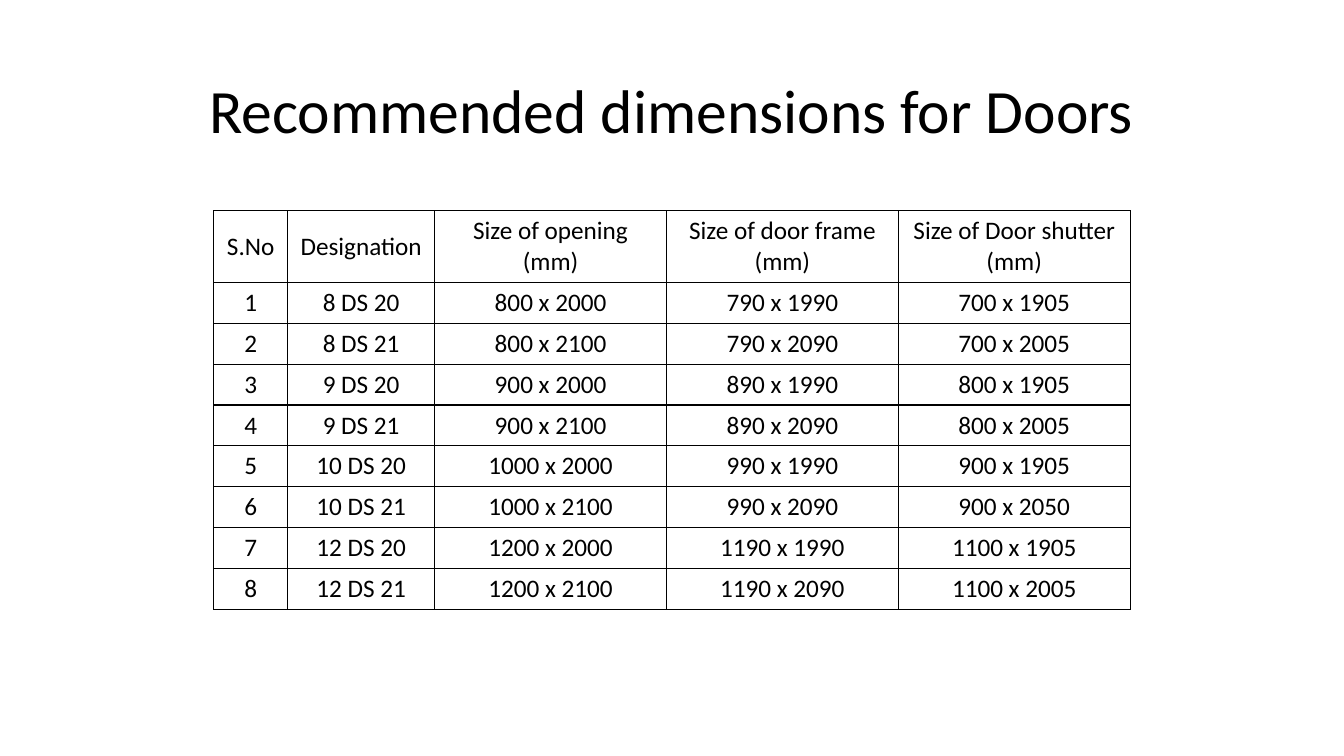
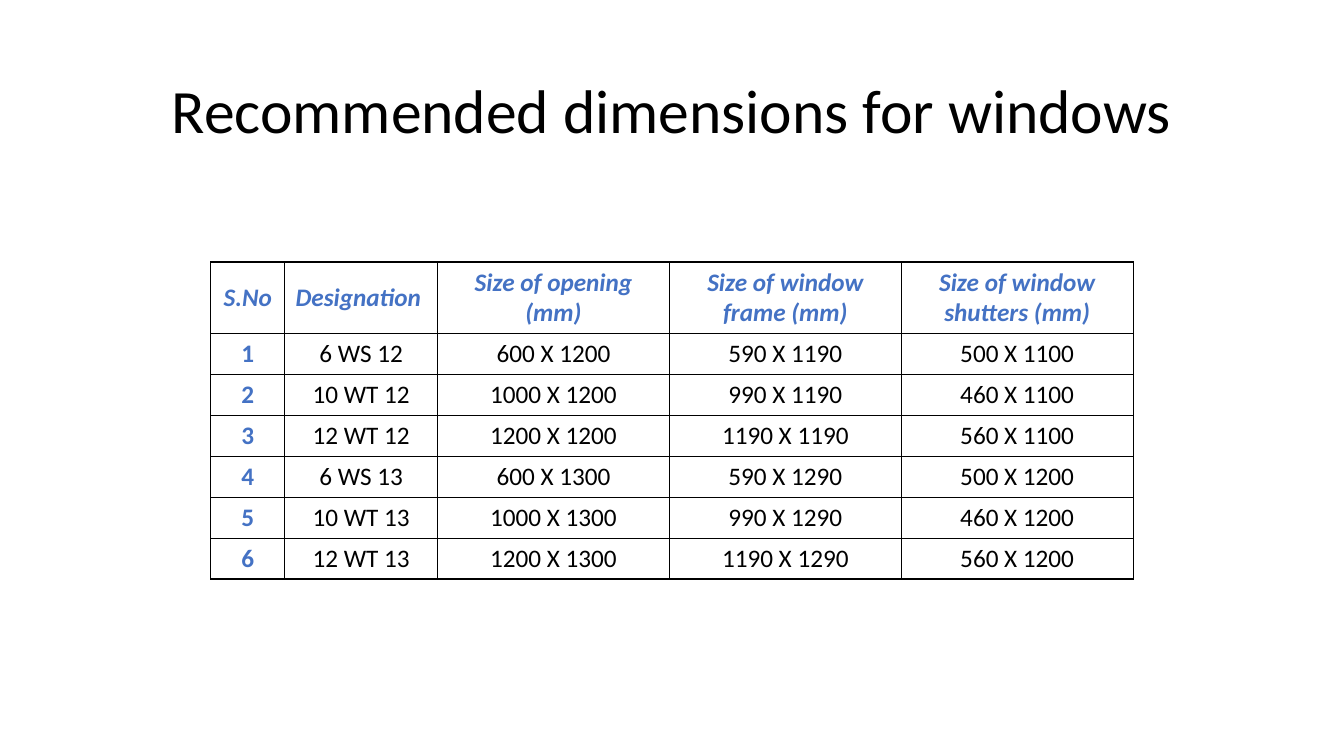
"""Build two slides of recommended door and window dimensions."""
import lxml.etree
import pptx
import pptx.dml.color
import pptx.enum.text
import pptx.oxml.ns
import pptx.util

Pt = pptx.util.Pt
WIDE, HIGH = 960, 540

DOORS = [
    ("S.No", "Designation", "Size of opening (mm)", "Size of door frame (mm)", "Size of Door shutter (mm)"),
    ("1", "8 DS 20", "800 x 2000", "790 x 1990", "700 x 1905"),
    ("2", "8 DS 21", "800 x 2100", "790 x 2090", "700 x 2005"),
    ("3", "9 DS 20", "900 x 2000", "890 x 1990", "800 x 1905"),
    ("4", "9 DS 21", "900 x 2100", "890 x 2090", "800 x 2005"),
    ("5", "10 DS 20", "1000 x 2000", "990 x 1990", "900 x 1905"),
    ("6", "10 DS 21", "1000 x 2100", "990 x 2090", "900 x 2050"),
    ("7", "12 DS 20", "1200 x 2000", "1190 x 1990", "1100 x 1905"),
    ("8", "12 DS 21", "1200 x 2100", "1190 x 2090", "1100 x 2005"),
]
WINDOWS = [
    ("S.No", "Designation ", "Size of opening (mm)", "Size of window frame (mm)", "Size of window shutters (mm)"),
    ("1", "6 WS 12", "600 X 1200", "590 X 1190", "500 X 1100"),
    ("2", "10 WT 12", "1000 X 1200", "990 X 1190", "460 X 1100"),
    ("3", "12 WT 12", "1200 X 1200", "1190 X 1190", "560 X 1100"),
    ("4", "6 WS 13", "600 X 1300", "590 X 1290", "500 X 1200"),
    ("5", "10 WT 13", "1000 X 1300", "990 X 1290", "460 X 1200"),
    ("6", "12 WT 13", "1200 X 1300", "1190 X 1290", "560 X 1200"),
]


class Deck:
    """Hold the shared style and the current slide."""

    hues = {"ink": "000000", "mark": "4472C4"}
    face = "Calibri"
    head, row = 51.2, 29.2

    def __init__(self):
        self.show = pptx.Presentation()
        self.show.slide_width, self.show.slide_height = Pt(WIDE), Pt(HIGH)
        self.slide = None

    def style(self, para, size, hue="ink", bold=False, slant=False):
        """Centre a paragraph and format its runs."""
        para.alignment = pptx.enum.text.PP_ALIGN.CENTER
        for run in para.runs:
            font = run.font
            font.name, font.size = self.face, Pt(size)
            font.bold, font.italic = bold, slant
            font.color.rgb = pptx.dml.color.RGBColor.from_string(self.hues[hue])

    def page(self, text):
        """Start a slide with its title."""
        self.slide = self.show.slides.add_slide(self.show.slide_layouts[5])
        title = self.slide.shapes.title
        title.left, title.top, title.width, title.height = Pt(66), Pt(28.75), Pt(828), Pt(104.4)
        frame = title.text_frame
        frame.text = text
        frame.vertical_anchor = pptx.enum.text.MSO_ANCHOR.MIDDLE
        frame.paragraphs[0].line_spacing = 0.9
        self.style(frame.paragraphs[0], 44)

    def border(self, cell):
        """Draw a thin line on each side of a cell."""
        name = pptx.oxml.ns.qn
        props = cell._tc.get_or_add_tcPr()
        for side in ("L", "R", "T", "B"):
            line = lxml.etree.SubElement(props, name("a:ln" + side), w=str(Pt(1)))
            fill = lxml.etree.SubElement(line, name("a:solidFill"))
            lxml.etree.SubElement(fill, name("a:srgbClr"), val=self.hues["ink"])

    def table(self, rows, top, widths, marked=False):
        """Add a centred table, with its header row and first column marked on request."""
        wide = sum(widths)
        high = self.head + self.row * (len(rows) - 1)
        grid = self.slide.shapes.add_table(
            len(rows), len(widths), Pt((WIDE - wide) / 2), Pt(top), Pt(wide), Pt(high)).table
        grid.horz_banding = False
        for col, width in zip(grid.columns, widths):
            col.width = Pt(width)
        for r, texts in enumerate(rows):
            grid.rows[r].height = Pt(self.row if r else self.head)
            for c, text in enumerate(texts):
                cell = grid.cell(r, c)
                self.border(cell)
                cell.fill.background()
                cell.vertical_anchor = pptx.enum.text.MSO_ANCHOR.MIDDLE
                cell.text_frame.text = text
                bold = marked and (r == 0 or c == 0)
                self.style(cell.text_frame.paragraphs[0], 18,
                           "mark" if bold else "ink", bold, marked and r == 0)


def main():
    """Build and save the deck."""
    deck = Deck()
    sizes = [165.6] * 3
    deck.page("Recommended dimensions for Doors")
    deck.table(DOORS, 150.5, [52.8, 105] + sizes)
    deck.page("Recommended dimensions for windows")
    deck.table(WINDOWS, 187.2, [52.8, 109.2] + sizes, marked=True)
    deck.show.save("out.pptx")


if __name__ == "__main__":
    main()
